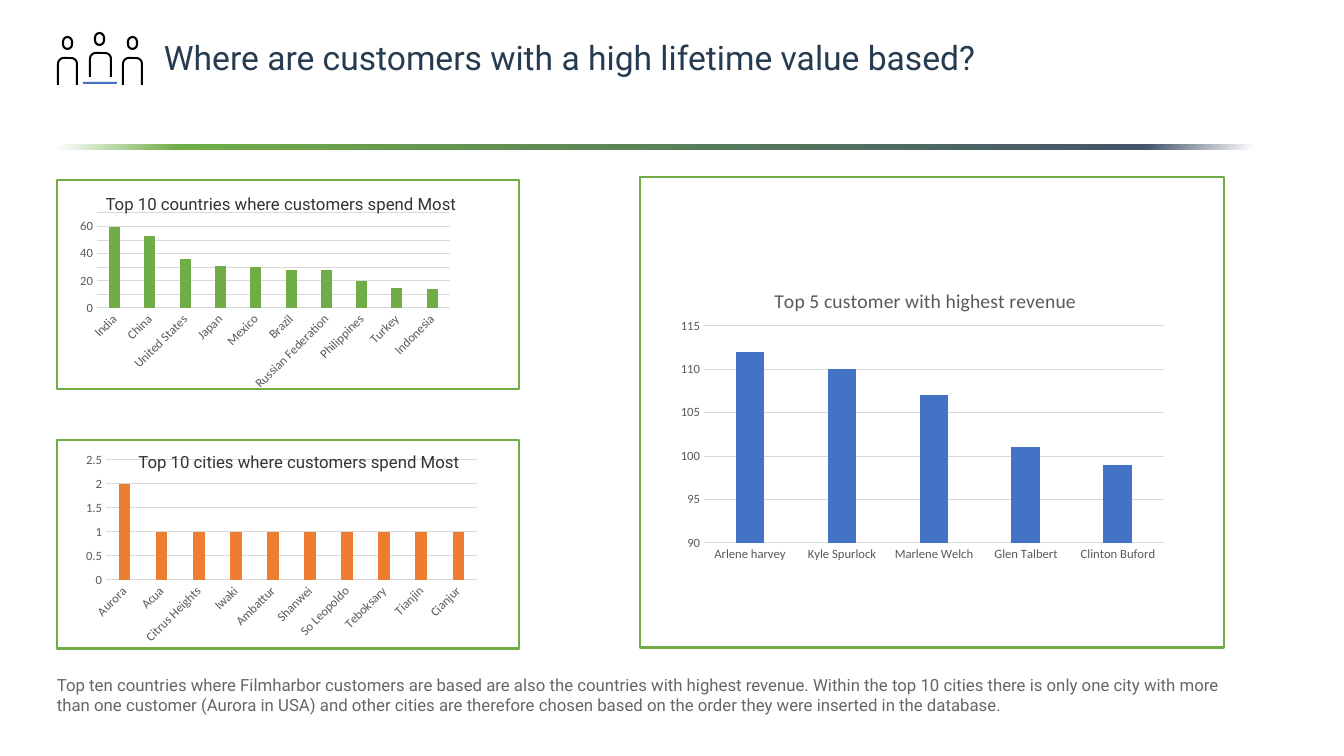
from math import cos, pi, sin
from lxml.etree import SubElement as Sub
from pptx import Presentation
from pptx.chart.data import CategoryChartData as Data
from pptx.dml.color import RGBColor as RGB
from pptx.enum.chart import XL_CHART_TYPE as Kind, XL_TICK_MARK as Tick
from pptx.enum.shapes import MSO_SHAPE as Form
from pptx.enum.text import MSO_AUTO_SIZE as Fit, PP_ALIGN as Align
from pptx.oxml import parse_xml
from pptx.oxml.ns import nsdecls, qn
from pptx.util import Pt

GREEN = RGB(0x70, 0xAD, 0x47)
ORANGE = RGB(0xED, 0x7D, 0x31)
BLUE = RGB(0x44, 0x72, 0xC4)
SLATE = RGB(0x44, 0x54, 0x6A)
NAVY = RGB(0x26, 0x3B, 0x50)
DARK = RGB(0x33, 0x33, 0x33)
GRAY = RGB(0x66, 0x66, 0x66)
LABEL = RGB(0x59, 0x59, 0x59)
RULE = RGB(0xD9, 0xD9, 0xD9)
BLACK = RGB(0, 0, 0)
WHITE = RGB(0xFF, 0xFF, 0xFF)

PX = 914400 / 100.8

TITLE = "Where are customers with a high lifetime value based?"
NOTE = (
    "Top ten countries where Filmharbor customers are based are also the "
    "countries with highest revenue. Within the top 10 cities there is only "
    "one city with more than one customer (Aurora in USA) and other cities "
    "are therefore chosen based on the order they were inserted in the database."
)
TEXTS = [
    (TITLE, (154, 32, 950, 50), dict(size=24, color=NAVY)),
    ("Top 10 countries where customers spend Most", (60, 189, 442, 31),
     dict(align=Align.CENTER)),
    (NOTE, (47, 670, 1216, 51), dict(color=GRAY)),
    ("Top 10 cities where customers spend Most", (78, 447, 442, 31),
     dict(align=Align.CENTER)),
]
FRAMES = [(57, 180, 462, 209), (640, 177, 584, 471), (57, 440, 462, 209)]
BAR = (58, 144, 1207, 6)
STOPS = [(0, WHITE), (10, GREEN), (90, SLATE), (99, WHITE)]
CHARTS = [
    dict(box=(74, 210, 384, 185), plot=(97, 213, 353, 95), color=GREEN,
         scale=(0, 70, 10), turn=-45, rows=[
             ("India", 60), ("China", 53), ("United States", 36),
             ("Japan", 31), ("Mexico", 30), ("Brazil", 28),
             ("Russian Federation", 28), ("Philippines", 20),
             ("Turkey", 15), ("Indonesia", 14)]),
    dict(box=(78, 450, 407, 199), plot=(106, 460, 371, 120), color=ORANGE,
         scale=(0, 2.5, 0.5), turn=-45, rows=[
             ("Aurora", 2), ("Acua", 1), ("Citrus Heights", 1),
             ("Iwaki", 1), ("Ambattur", 1), ("Shanwei", 1),
             ("So Leopoldo", 1), ("Teboksary", 1), ("Tianjin", 1),
             ("Cianjur", 1)]),
    dict(box=(670, 266, 504, 302), plot=(704, 326, 460, 217), color=BLUE,
         scale=(90, 115, 5), turn=0,
         title="Top 5 customer with highest revenue", rows=[
             ("Arlene harvey", 112), ("Kyle Spurlock", 110),
             ("Marlene Welch", 107), ("Glen Talbert", 101),
             ("Clinton Buford", 99)]),
]
HEADS = [(63, 37), (95, 33), (128, 37)]
BODIES = [(57, 57, 21, 28), (89, 52, 23, 25), (122, 57, 21, 28)]
DESK = (83, 82, 34, 2)


def emu(box):
    return [round(n * PX) for n in box]


def add_box(slide, box, form=Form.RECTANGLE, fill=None, line=None, width=2):
    shape = slide.shapes.add_shape(form, *emu(box))
    shape.shadow.inherit = False
    if fill is None:
        shape.fill.background()
    else:
        shape.fill.solid()
        shape.fill.fore_color.rgb = fill
    if line is None:
        shape.line.fill.background()
    else:
        shape.line.color.rgb = line
        shape.line.width = Pt(width)
    return shape


def add_text(slide, text, box, size=12, color=DARK, align=Align.LEFT):
    frame = slide.shapes.add_textbox(*emu(box)).text_frame
    frame.word_wrap = True
    frame.auto_size = Fit.SHAPE_TO_FIT_TEXT
    para = frame.paragraphs[0]
    para.alignment = align
    run = para.add_run()
    run.text = text
    run.font.name = "Roboto"
    run.font.size = Pt(size)
    run.font.color.rgb = color


def add_bar(slide):
    bar = add_box(slide, BAR, fill=WHITE)
    stops = "".join(
        f'<a:gs pos="{at * 1000}"><a:srgbClr val="{tone}"/></a:gs>'
        for at, tone in STOPS)
    grad = parse_xml(
        f'<a:gradFill {nsdecls("a")} rotWithShape="1"><a:gsLst>{stops}</a:gsLst>'
        '<a:lin ang="1800000" scaled="0"/></a:gradFill>')
    props = bar._element.spPr
    props.replace(props.find(qn("a:solidFill")), grad)


def add_body(slide, left, top, wide, high, rad=7, thick=2):
    def arch(gap):
        r = rad - gap
        turns = [pi + pi * n / 16 for n in range(17)]
        arcs = [(left + (rad if n <= 8 else wide - rad) + r * cos(t),
                 top + rad + r * sin(t)) for n, t in enumerate(turns)]
        foot = top + high
        return [(left + gap, foot), *arcs, (left + wide - gap, foot)]

    dots = [emu(dot) for dot in arch(0) + arch(thick)[::-1]]
    pen = slide.shapes.build_freeform(*dots[0])
    pen.add_line_segments(dots[1:], close=True)
    shape = pen.convert_to_shape()
    shape.shadow.inherit = False
    shape.fill.solid()
    shape.fill.fore_color.rgb = BLACK
    shape.line.fill.background()


def set_place(parent, **parts):
    old = parent.find(qn("c:layout"))
    if old is not None:
        parent.remove(old)
    lay = parse_xml(f'<c:layout {nsdecls("c")}/>')
    man = Sub(lay, qn("c:manualLayout"))
    for key, val in parts.items():
        Sub(man, qn(f"c:{key}")).set("val", str(val))
    return lay


def set_font(font, size, color):
    font.name = "Calibri"
    font.size = Pt(size)
    font.bold = False
    font.color.rgb = color


def add_graph(slide, box, plot, color, scale, turn, rows, title=None):
    data = Data()
    data.categories = [name for name, _ in rows]
    data.add_series("Series 1", [val for _, val in rows])
    chart = slide.shapes.add_chart(Kind.COLUMN_CLUSTERED, *emu(box), data).chart
    set_font(chart.font, 10, BLACK)
    chart.has_legend = False
    chart.has_title = title is not None
    if title:
        frame = chart.chart_title.text_frame
        frame.text = title
        set_font(frame.paragraphs[0].runs[0].font, 14, LABEL)
        head = chart.chart_title._element
        lay = set_place(head, xMode="edge", yMode="edge", x=0.2, y=0.06)
        head.find(qn("c:tx")).addnext(lay)

    bars = chart.plots[0]
    bars.gap_width = 219
    bars.overlap = -27
    bars.vary_by_categories = False
    fill = bars.series[0].format.fill
    fill.solid()
    fill.fore_color.rgb = color

    cat, val = chart.category_axis, chart.value_axis
    for axis in (cat, val):
        axis.major_tick_mark = axis.minor_tick_mark = Tick.NONE
        set_font(axis.tick_labels.font, 9, LABEL)
    cat._element.find(qn("c:txPr")).find(qn("a:bodyPr")).set("rot", str(turn * 60000))
    val.minimum_scale, val.maximum_scale, val.major_unit = scale
    val.format.line.fill.background()
    for line in (cat.format.line, val.major_gridlines.format.line):
        line.color.rgb = RULE
        line.width = Pt(0.75)

    left, top, wide, high = box
    area = chart._chartSpace.chart.plotArea
    area.insert(0, set_place(
        area, layoutTarget="inner", xMode="edge", yMode="edge",
        x=(plot[0] - left) / wide, y=(plot[1] - top) / high,
        w=plot[2] / wide, h=plot[3] / high))


def main():
    deck = Presentation()
    deck.slide_width, deck.slide_height = emu((1344, 756))
    slide = deck.slides.add_slide(deck.slide_layouts[6])
    for box in FRAMES:
        add_box(slide, box, line=GREEN)
    add_bar(slide)
    for item in CHARTS:
        add_graph(slide, **item)
    add_box(slide, DESK, fill=BLUE)
    for left, top in HEADS:
        head = add_box(slide, (left, top, 9, 12), Form.ROUNDED_RECTANGLE,
                       line=BLACK, width=1.5)
        head.adjustments[0] = 0.5
    for body in BODIES:
        add_body(slide, *body)
    for text, box, look in TEXTS:
        add_text(slide, text, box, **look)
    deck.save("out.pptx")


if __name__ == "__main__":
    main()
